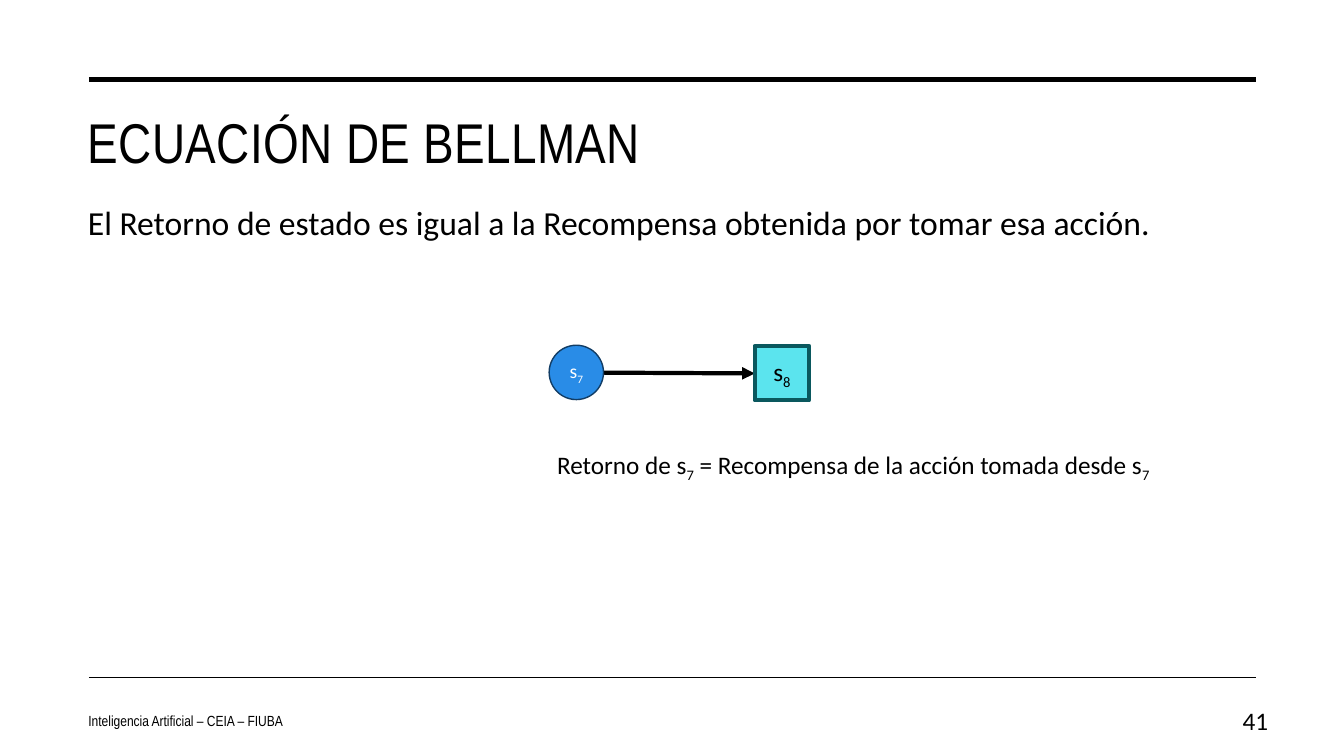
from lxml import etree
from pptx import Presentation
from pptx import util as u
from pptx.dml.color import RGBColor
from pptx.enum import shapes, text
from pptx.oxml import ns

BLACK = "000000"


def rgb(value):
    return RGBColor.from_string(value)


def write(shape, runs, size, font="Calibri", color=BLACK,
          align=text.PP_ALIGN.LEFT, anchor=text.MSO_ANCHOR.MIDDLE):
    """Fill the shape with one paragraph; every second run is a subscript."""
    frame = shape.text_frame
    frame.word_wrap = True
    frame.auto_size = text.MSO_AUTO_SIZE.NONE
    frame.vertical_anchor = anchor
    paragraph = frame.paragraphs[0]
    paragraph.alignment = align
    for index, wording in enumerate(runs):
        run = paragraph.add_run()
        run.text = wording
        run.font.size = u.Pt(size)
        run.font.name = font
        run.font.color.rgb = rgb(color)
        if index % 2:
            run._r.get_or_add_rPr().set("baseline", "-25000")
    return paragraph


presentation = Presentation()
presentation.slide_width = u.Cm(33.87)
presentation.slide_height = u.Cm(19.05)
slide = presentation.slides.add_slide(presentation.slide_layouts[1])
title, body = slide.placeholders

# Rules and the arrow between the states
lines = [
    (2.24, 2.0, 31.65, 2.0, 3.5),
    (2.24, 17.07, 31.65, 17.07, 1),
    (15.21, 9.39, 19.02, 9.41, 3),
]
for x1, y1, x2, y2, width in lines:
    line = slide.shapes.add_connector(
        shapes.MSO_CONNECTOR.STRAIGHT, u.Cm(x1), u.Cm(y1), u.Cm(x2), u.Cm(y2))
    line.line.color.rgb = rgb(BLACK)
    line.line.width = u.Pt(width)
    etree.SubElement(line._element.spPr, ns.qn("a:effectLst"))
arrow = line
etree.SubElement(arrow.line._get_or_add_ln(), ns.qn("a:tailEnd"), type="triangle")

# Title and body
title.left, title.top, title.width, title.height = u.Cm(1.96), u.Cm(2.57), u.Cm(29.69), u.Cm(2.59)
heading = write(title, ["ECUACIÓN DE BELLMAN"], 40, "Arial Narrow", anchor=text.MSO_ANCHOR.TOP)
heading.runs[0]._r.get_or_add_rPr().set("spc", "30")

body.left, body.top, body.width, body.height = u.Cm(1.96), u.Cm(4.85), u.Cm(29.69), u.Cm(12.04)
statement = write(
    body, ["El Retorno de estado es igual a la Recompensa obtenida por tomar esa acción."],
    24, anchor=text.MSO_ANCHOR.TOP)
statement.line_spacing = 1.1
statement.space_before = u.Pt(0)
properties = statement._p.get_or_add_pPr()
properties.set("marL", "0")
properties.set("indent", "0")
etree.SubElement(properties, ns.qn("a:buNone"))

# States
states = [
    (shapes.MSO_SHAPE.OVAL, 13.84, 8.7, "298CE7", "123D65", 1, "7", 14, "FFFFFF"),
    (shapes.MSO_SHAPE.RECTANGLE, 19.02, 8.72, "5BE4EE", "0A585E", 3, "8", 18, BLACK),
]
for kind, left, top, fill, outline, width, number, size, color in states:
    state = slide.shapes.add_shape(kind, u.Cm(left), u.Cm(top), u.Cm(1.37), u.Cm(1.37))
    state.shadow.inherit = False
    state.fill.solid()
    state.fill.fore_color.rgb = rgb(fill)
    state.line.color.rgb = rgb(outline)
    state.line.width = u.Pt(width)
    write(state, ["s", number], size, color=color, align=text.PP_ALIGN.CENTER)

# Equation, footer and page number
labels = [
    (13.79, 11.25, 16.54,
     ["Retorno de s", "7", " = Recompensa de la acción tomada desde s", "7"],
     18, "Calibri", text.PP_ALIGN.LEFT),
    (1.98, 17.65, 12.6, ["Inteligencia Artificial – CEIA – FIUBA"],
     10.5, "Arial Narrow", text.PP_ALIGN.LEFT),
    (30.33, 17.65, 1.88, ["41"], 18, "Calibri", text.PP_ALIGN.RIGHT),
]
for left, top, width, runs, size, font, align in labels:
    label = slide.shapes.add_textbox(u.Cm(left), u.Cm(top), u.Cm(width), u.Cm(1.02))
    write(label, runs, size, font, align=align)

presentation.save("out.pptx")
